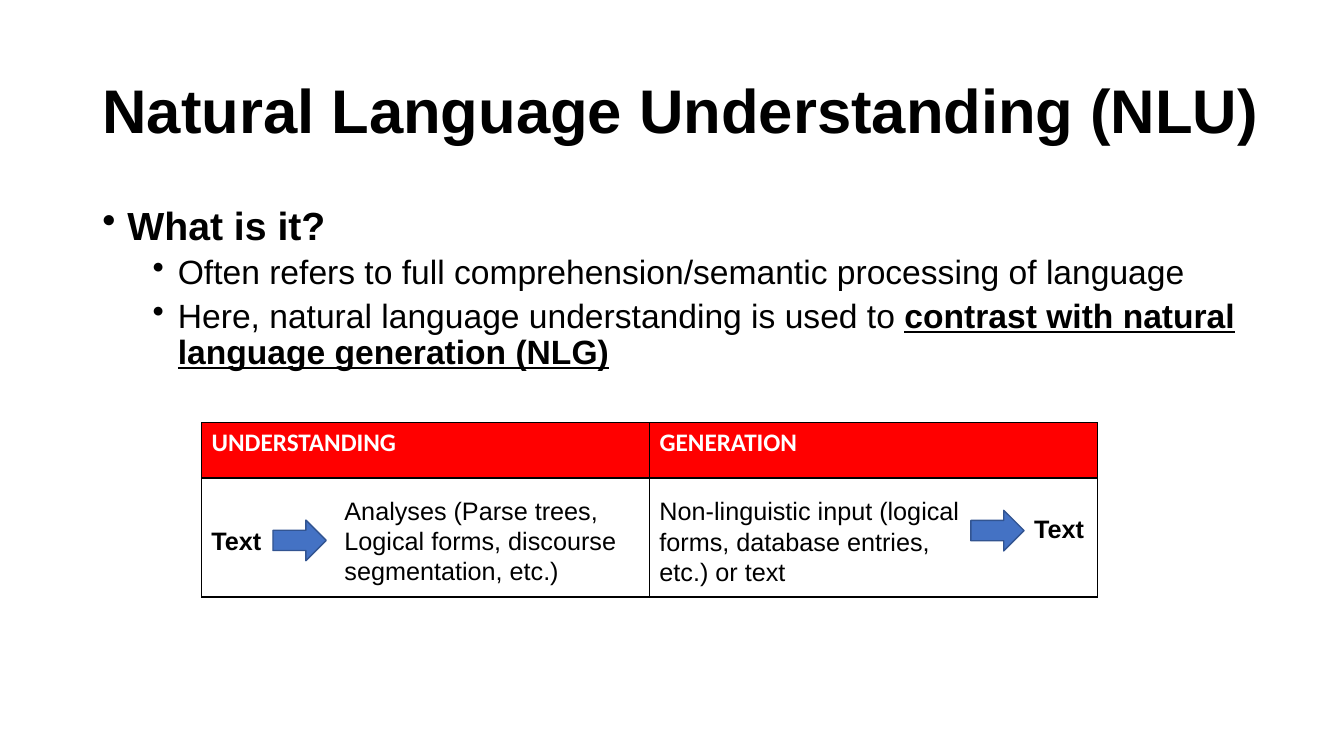
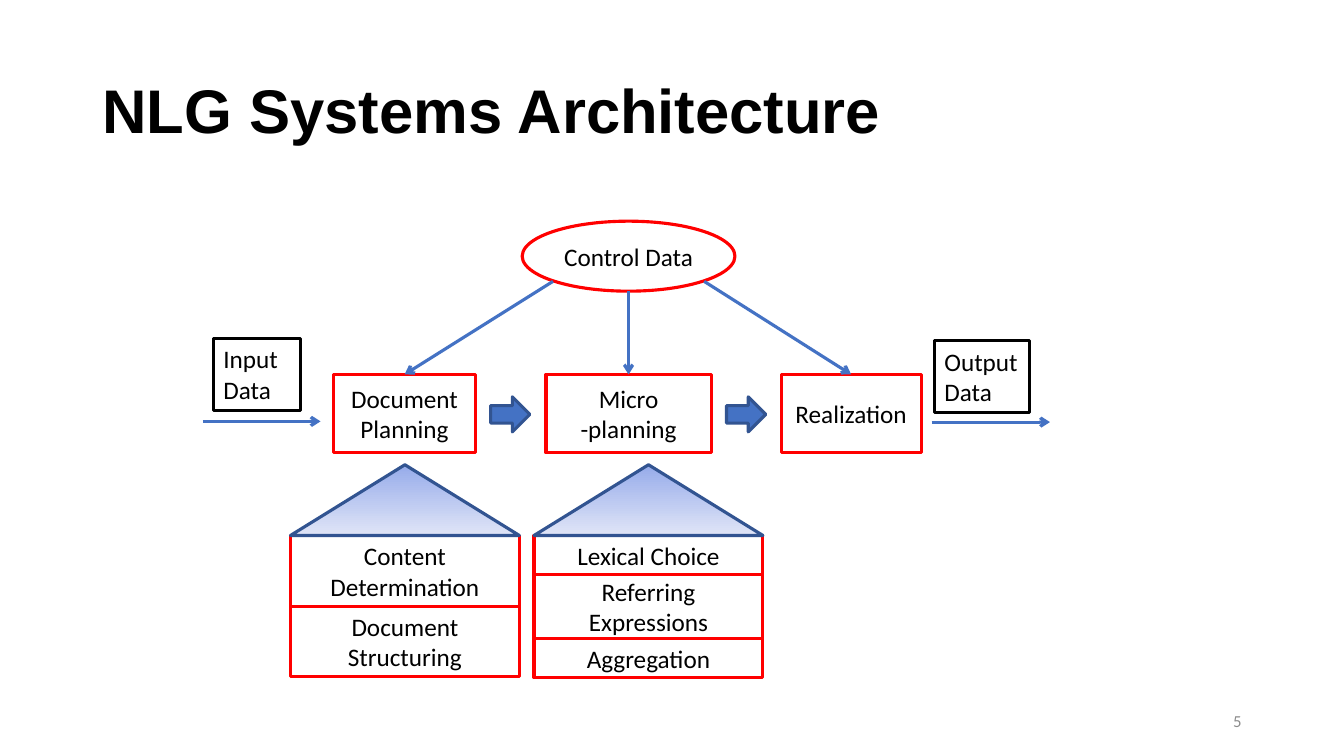
from dataclasses import dataclass

from lxml import etree
from pptx import Presentation
from pptx.dml.color import RGBColor
from pptx.enum.shapes import MSO_CONNECTOR, MSO_SHAPE as SHAPE
from pptx.enum.text import MSO_ANCHOR as ANCHOR, MSO_AUTO_SIZE, PP_ALIGN as ALIGN
from pptx.oxml.ns import qn
from pptx.util import Pt


@dataclass(frozen=True)
class Theme:
    black: RGBColor = RGBColor(0x00, 0x00, 0x00)
    white: RGBColor = RGBColor(0xFF, 0xFF, 0xFF)
    red: RGBColor = RGBColor(0xFF, 0x00, 0x00)
    blue: RGBColor = RGBColor(0x44, 0x72, 0xC4)
    navy: RGBColor = RGBColor(0x32, 0x54, 0x91)
    grey: RGBColor = RGBColor(0x8C, 0x8C, 0x8C)
    roof_top: RGBColor = RGBColor(0x96, 0xAB, 0xEA)
    roof_base: RGBColor = RGBColor(0xE0, 0xE5, 0xF7)
    sans: str = "Arial"
    diagram: str = "Calibri"
    title: int = 44
    bullet: int = 28
    sub_bullet: int = 24
    label: int = 18
    footer: int = 12
    thin: float = 1
    thick: float = 2.25


theme = Theme()


def write(frame, text, font, size=theme.label, color=theme.black, bold=False,
          align=ALIGN.LEFT, anchor=ANCHOR.TOP):
    frame.text = text
    frame.word_wrap = True
    frame.vertical_anchor = anchor
    for paragraph in frame.paragraphs:
        paragraph.alignment = align
        for run in paragraph.runs:
            run.font.name, run.font.size = font, Pt(size)
            run.font.bold, run.font.color.rgb = bold, color


def add_box(slide, preset, place, fill, line, width=theme.thick):
    box = slide.shapes.add_shape(preset, *map(Pt, place))
    box.shadow.inherit = False
    box.fill.solid()
    box.fill.fore_color.rgb = fill
    box.line.color.rgb = line
    box.line.width = Pt(width)
    return box


prs = Presentation()
prs.slide_width, prs.slide_height = Pt(960), Pt(540)

# Both slides with their titles
slides = []
for heading, width in (("Natural Language Understanding (NLU)", 848),
                       ("NLG Systems Architecture", 828)):
    slide = prs.slides.add_slide(prs.slide_layouts.get_by_name("Title Only"))
    title = slide.shapes.title
    title.left, title.top, title.width, title.height = map(Pt, (66, 29, width, 104))
    write(title.text_frame, heading, theme.sans, theme.title, bold=True,
          anchor=ANCHOR.MIDDLE)
    title.text_frame.auto_size = MSO_AUTO_SIZE.NONE
    title.text_frame.paragraphs[0].line_spacing = 0.9
    slides.append(slide)
understanding, architecture = slides

# Slide 1: bullets as (indent, size, space before, plain text, strong text)
bullets = (
    (18, theme.bullet, 0, "", "What is it?"),
    (54, theme.sub_bullet, 5,
     "Often refers to full comprehension/semantic processing of language", ""),
    (54, theme.sub_bullet, 5, "Here, natural language understanding is used to ",
     "contrast with natural language generation (NLG)"),
)
body = understanding.shapes.add_textbox(Pt(66), Pt(144), Pt(828), Pt(343)).text_frame
body.word_wrap = True
for row, (indent, size, before, plain, strong) in enumerate(bullets):
    paragraph = body.paragraphs[0] if row == 0 else body.add_paragraph()
    properties = paragraph._p.get_or_add_pPr()
    properties.set("marL", str(Pt(indent)))
    properties.set("indent", str(Pt(-18)))
    etree.SubElement(properties, qn("a:buChar")).set("char", "•")
    paragraph.level = 0 if row == 0 else 1
    paragraph.line_spacing = 0.9
    paragraph.space_before = Pt(before)
    for words, is_strong in ((plain, False), (strong, True)):
        if words:
            run = paragraph.add_run()
            run.text = words
            run.font.name, run.font.size = theme.sans, Pt(size)
            run.font.color.rgb = theme.black
            run.font.bold = is_strong
            run.font.underline = is_strong and row > 0

# Slide 1: comparison table
comparison = understanding.shapes.add_table(
    2, 2, Pt(144), Pt(302), Pt(640), Pt(124.5)).table
comparison.first_row = comparison.horz_banding = False
comparison.rows[0].height, comparison.rows[1].height = Pt(39.5), Pt(85)
for column, heading in enumerate(("UNDERSTANDING", "GENERATION")):
    write(comparison.cell(0, column).text_frame, heading, theme.diagram,
          color=theme.white, bold=True)
    for row, fill in enumerate((theme.red, theme.white)):
        cell = comparison.cell(row, column)
        cell.vertical_anchor = ANCHOR.TOP
        cell.fill.solid()
        cell.fill.fore_color.rgb = fill
        for position, side in enumerate(("a:lnL", "a:lnR", "a:lnT", "a:lnB")):
            border = etree.Element(qn(side), w=str(Pt(theme.thin)))
            paint = etree.SubElement(border, qn("a:solidFill"))
            etree.SubElement(paint, qn("a:srgbClr")).set("val", str(theme.black))
            cell._tc.get_or_add_tcPr().insert(position, border)

# Slide 1: labels and arrows over the table
for place, text, bold in (
    ((144, 371.5, 52, 29), "Text", True),
    ((239, 350, 235, 73),
     "Analyses (Parse trees, Logical forms, discourse segmentation, etc.)", False),
    ((731.5, 363, 62, 29), "Text", True),
    ((464, 350.5, 235, 73),
     "Non-linguistic input (logical forms, database entries, etc.) or text", False),
):
    label = understanding.shapes.add_textbox(*map(Pt, place))
    write(label.text_frame, text, theme.sans, bold=bold)
for left, top in ((195, 371.5), (693.5, 364.5)):
    add_box(understanding, SHAPE.RIGHT_ARROW, (left, top, 38, 29),
            theme.blue, theme.navy, theme.thin)

# Slide 2: control data and the three stages
stages = []
for preset, place, text in (
    (SHAPE.OVAL, (373, 158, 152, 50), "Control Data"),
    (SHAPE.RECTANGLE, (238, 267.5, 102, 56), "Document Planning"),
    (SHAPE.RECTANGLE, (390, 267.5, 118, 56), "Micro\v-planning"),
    (SHAPE.RECTANGLE, (558, 267.5, 100, 56), "Realization"),
):
    stage = add_box(architecture, preset, place, theme.white, theme.red)
    write(stage.text_frame, text, theme.diagram, align=ALIGN.CENTER,
          anchor=ANCHOR.MIDDLE)
    stages.append(stage)
for left in (350.5, 519):
    add_box(architecture, SHAPE.RIGHT_ARROW, (left, 283.5, 28, 25),
            theme.blue, theme.navy)

# Slide 2: input and output
for place, text in (((152.5, 242, 62, 51), "Input Data"),
                    ((667.5, 243.5, 68, 51), "Output Data")):
    data = add_box(architecture, SHAPE.RECTANGLE, place, theme.white, theme.black)
    write(data.text_frame, text, theme.diagram)

# Slide 2: substeps under a roof, as (left, ((text, height), ...))
substeps = (
    (207.5, (("Content Determination", 50.5), ("Document Structuring", 50.5))),
    (381.5, (("Lexical Choice", 28), ("Referring Expressions", 45.5),
             ("Aggregation", 28))),
)
roof_top, roof_height, stack_width = 332, 50.5, 163.5
for left, steps in substeps:
    top = roof_top + roof_height
    for text, height in steps:
        step = add_box(architecture, SHAPE.RECTANGLE,
                       (left, top, stack_width, height), theme.white, theme.red)
        write(step.text_frame, text, theme.diagram, align=ALIGN.CENTER,
              anchor=ANCHOR.MIDDLE)
        top += height
    roof = add_box(architecture, SHAPE.ISOSCELES_TRIANGLE,
                   (left, roof_top, stack_width, roof_height),
                   theme.white, theme.navy)
    roof.fill.gradient()
    roof.fill.gradient_angle = 270
    for stop, color in zip(roof.fill.gradient_stops, (theme.roof_top, theme.roof_base)):
        stop.color.rgb = color

# Slide 2: flow lines, the last three glued to the top of a stage
for start, end, target in (
    ((145, 301), (229, 301), None),
    ((665.5, 301.5), (750, 301.5), None),
    ((395, 201), (289, 267.5), stages[1]),
    ((449, 208), (449, 267.5), stages[2]),
    ((503, 201), (608, 267.5), stages[3]),
):
    flow = architecture.shapes.add_connector(
        MSO_CONNECTOR.STRAIGHT, *map(Pt, start + end))
    if target is not None:
        flow.end_connect(target, 0)
    flow.line.color.rgb = theme.blue
    flow.line.width = Pt(theme.thick)
    outline = flow._element.spPr
    etree.SubElement(outline.find(qn("a:ln")), qn("a:tailEnd")).set("type", "arrow")
    etree.SubElement(outline, qn("a:effectLst"))

# Slide 2: page number
page = architecture.shapes.add_textbox(Pt(678), Pt(500), Pt(216), Pt(29))
write(page.text_frame, "5", theme.diagram, theme.footer, theme.grey,
      align=ALIGN.RIGHT, anchor=ANCHOR.MIDDLE)

prs.save("out.pptx")
